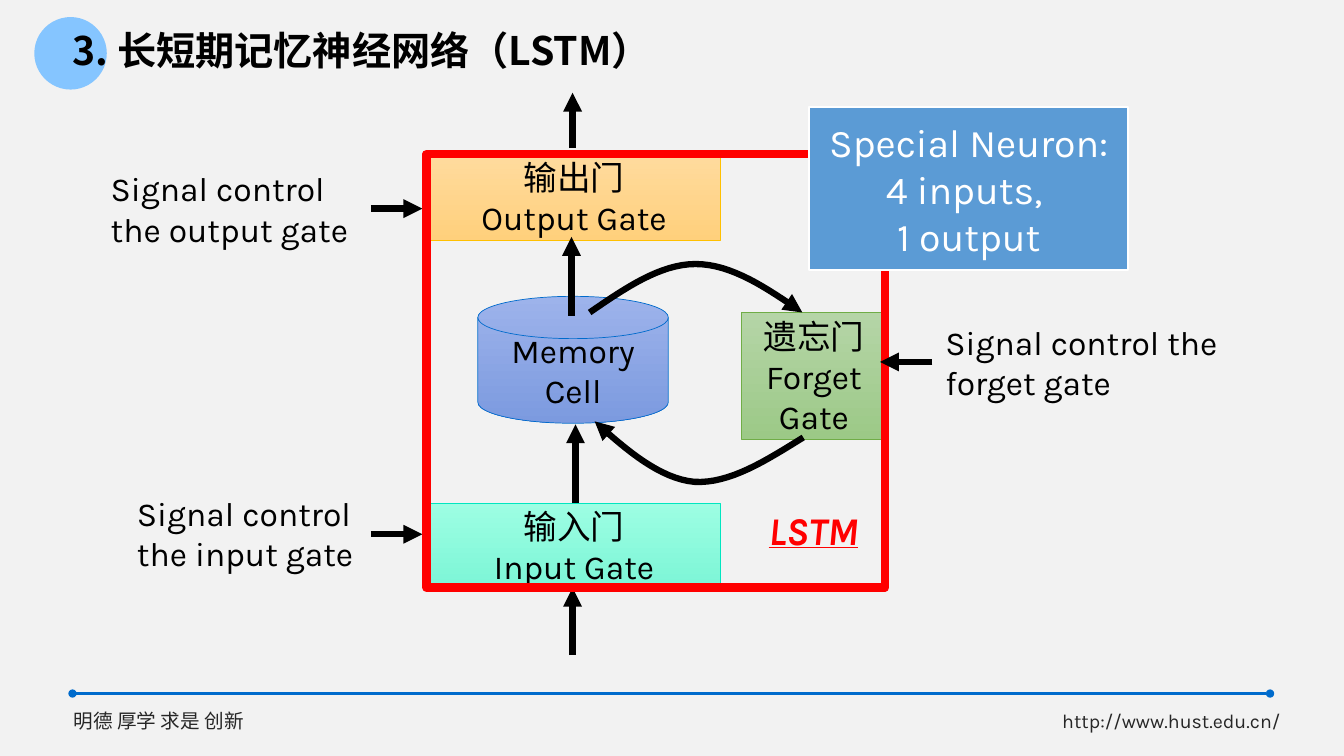
from lxml.etree import SubElement
from pptx import Presentation
from pptx.dml.color import RGBColor
from pptx.enum.shapes import MSO_CONNECTOR, MSO_SHAPE
from pptx.enum.text import MSO_ANCHOR, MSO_AUTO_SIZE, PP_ALIGN
from pptx.oxml.ns import qn
from pptx.util import Pt

COLOURS = {
    "page": "F2F2F2", "ink": "000000", "footer": "262626", "disc": "85C5FF",
    "blue": "006BCC", "red": "FF0000", "white": "FFFFFF", "neuron": "5B9BD5",
    "cell top": "9DB3EB", "cell bottom": "7C9ADF",
    "input top": "9DFEE3", "input bottom": "7CF5D6", "input edge": "01E6C0",
    "output top": "FFDB9E", "output bottom": "FFD07C", "output edge": "FFC000",
    "forget top": "B5D5A7", "forget bottom": "9CC987", "forget edge": "70AD47",
}
RGB = {name: RGBColor.from_string(value) for name, value in COLOURS.items()}


def write_text(shape, text, size=24, colour="ink", font="Karla", bold=False,
               italic=False, underline=False, align=PP_ALIGN.LEFT,
               anchor=MSO_ANCHOR.TOP, spacing=None):
    frame = shape.text_frame
    frame.word_wrap = True
    frame.auto_size = MSO_AUTO_SIZE.NONE
    frame.vertical_anchor = anchor
    for index, line in enumerate(text.split("\n")):
        para = frame.add_paragraph() if index else frame.paragraphs[0]
        para.alignment = align
        para.line_spacing = spacing
        span = para.add_run()
        span.text = line
        span.font.name = font
        span.font.size = Pt(size)
        span.font.color.rgb = RGB[colour]
        span.font.bold = bold
        span.font.italic = italic
        span.font.underline = underline
        east = SubElement(span.font._element, qn("a:ea"))
        east.set("typeface", "Noto Sans CJK SC")


def draw_line(shape, colour="ink", weight=4.5, **ends):
    shape.line.color.rgb = RGB[colour]
    shape.line.width = Pt(weight)
    outline = shape.line._get_or_add_ln()
    for end, kind in ends.items():
        SubElement(outline, qn(f"a:{end}")).set("type", kind)
    SubElement(shape.element.spPr, qn("a:effectLst"))


deck = Presentation()
deck.slide_width = Pt(960)
deck.slide_height = Pt(540)
page = deck.slides.add_slide(deck.slide_layouts[5])
page.background.fill.solid()
page.background.fill.fore_color.rgb = RGB["page"]
shapes = page.shapes

title = shapes.title
title.left, title.top, title.width, title.height = map(Pt, (44.6, 20.9, 673.2, 33.8))
write_text(title, "3. 长短期记忆神经网络（LSTM）", size=28, font="Noto Sans CJK SC",
           bold=True, anchor=MSO_ANCHOR.MIDDLE, spacing=0.9)

disc = shapes.add_shape(MSO_SHAPE.OVAL, *map(Pt, (24.5, 12.2, 51.8, 51.8)))
disc.shadow.inherit = False
disc.fill.solid()
disc.fill.fore_color.rgb = RGB["disc"]
disc.line.fill.background()
title.element.addprevious(disc.element)

rule = shapes.add_connector(MSO_CONNECTOR.STRAIGHT, *map(Pt, (51.8, 495.4, 907.2, 495.4)))
draw_line(rule, "blue", 1.75, headEnd="oval", tailEnd="oval")

for text, left in (("明德 厚学 求是 创新", 45.4), ("http://www.hust.edu.cn/", 751.7)):
    footer = shapes.add_textbox(*map(Pt, (left, 502.6, 184.3, 24.5)))
    write_text(footer, text, size=14, colour="footer")

parts = (
    ("cell", "Memory\nCell", MSO_SHAPE.FLOWCHART_MAGNETIC_DISK, "blue", (341.3, 211.7, 136.1, 90.7)),
    ("input", "输入门\nInput Gate", MSO_SHAPE.RECTANGLE, "input edge", (305.3, 359.3, 209.5, 61.2)),
    ("output", "输出门\nOutput Gate", MSO_SHAPE.RECTANGLE, "output edge", (305.3, 110.2, 209.5, 61.2)),
    ("forget", "遗忘门Forget Gate", MSO_SHAPE.RECTANGLE, "forget edge", (529.2, 223.2, 104.4, 90.7)),
)
for name, text, kind, edge, place in parts:
    part = shapes.add_shape(kind, *map(Pt, place))
    part.fill.gradient()
    part.fill.gradient_angle = 270
    for stop, side in zip(part.fill.gradient_stops, ("top", "bottom")):
        stop.color.rgb = RGB[f"{name} {side}"]
    draw_line(part, edge, 0.5)
    write_text(part, text, align=PP_ALIGN.CENTER, anchor=MSO_ANCHOR.MIDDLE)

signals = (
    ("input", 90.7, 348.5, 193),
    ("output", 72, 116.6, 190.1),
    ("forget", 668.2, 226.1, 227.5),
)
for gate, left, top, width in signals:
    label = shapes.add_textbox(*map(Pt, (left, top, width, 65.5)))
    write_text(label, f"Signal control the {gate} gate")

arrows = (
    (265, 149, 301.7, 149),
    (265, 381.6, 301.7, 381.6),
    (409, 468, 409, 419.8),
    (411.1, 359.3, 411.1, 303.1),
    (409, 105.8, 409, 66.2),
    (408.2, 225.4, 408.2, 169.2),
)
for ends in arrows:
    arrow = shapes.add_connector(MSO_CONNECTOR.STRAIGHT, *map(Pt, ends))
    draw_line(arrow, tailEnd="triangle")

loops = (
    ((421.2, 223.2), (446.4, 205.9), (471.6, 188.6), (496.8, 188.6),
     (522.7, 188.6), (547.9, 205.9), (573.1, 223.2)),
    ((573.8, 312.5), (547.2, 329), (521.3, 345.6), (496.1, 344.2),
     (471.6, 342), (447.8, 321.8), (424.8, 301)),
)
STEPS = 16
for knots in loops:
    trail = []
    for first in (0, 3):
        for step in range(1, STEPS + 1):
            t = step / STEPS
            weights = ((1 - t) ** 3, 3 * t * (1 - t) ** 2, 3 * t ** 2 * (1 - t), t ** 3)
            trail.append(tuple(
                Pt(sum(w * knot[axis] for w, knot in zip(weights, knots[first:first + 4])))
                for axis in (0, 1)))
    builder = shapes.build_freeform(*map(Pt, knots[0]))
    builder.add_line_segments(trail, close=False)
    curve = builder.convert_to_shape()
    curve.fill.background()
    draw_line(curve, tailEnd="triangle")

border = shapes.add_shape(MSO_SHAPE.RECTANGLE, *map(Pt, (304.6, 110.2, 327.6, 309.6)))
border.fill.background()
draw_line(border, "red", 6)

caption = shapes.add_textbox(*map(Pt, (535.7, 357.8, 90.7, 41)))
write_text(caption, "LSTM", size=28, colour="red", bold=True, italic=True,
           underline=True, align=PP_ALIGN.CENTER)

neuron = shapes.add_shape(MSO_SHAPE.RECTANGLE, *map(Pt, (578.2, 76.3, 227.5, 116.6)))
neuron.fill.solid()
neuron.fill.fore_color.rgb = RGB["neuron"]
draw_line(neuron, "white", 1.5)
write_text(neuron, "Special Neuron:\n4 inputs, \n1 output", size=28, colour="white",
           align=PP_ALIGN.CENTER, anchor=MSO_ANCHOR.MIDDLE)

forget_arrow = shapes.add_connector(MSO_CONNECTOR.STRAIGHT, *map(Pt, (666, 258.5, 628.6, 258.5)))
draw_line(forget_arrow, tailEnd="triangle")

deck.save("out.pptx")
